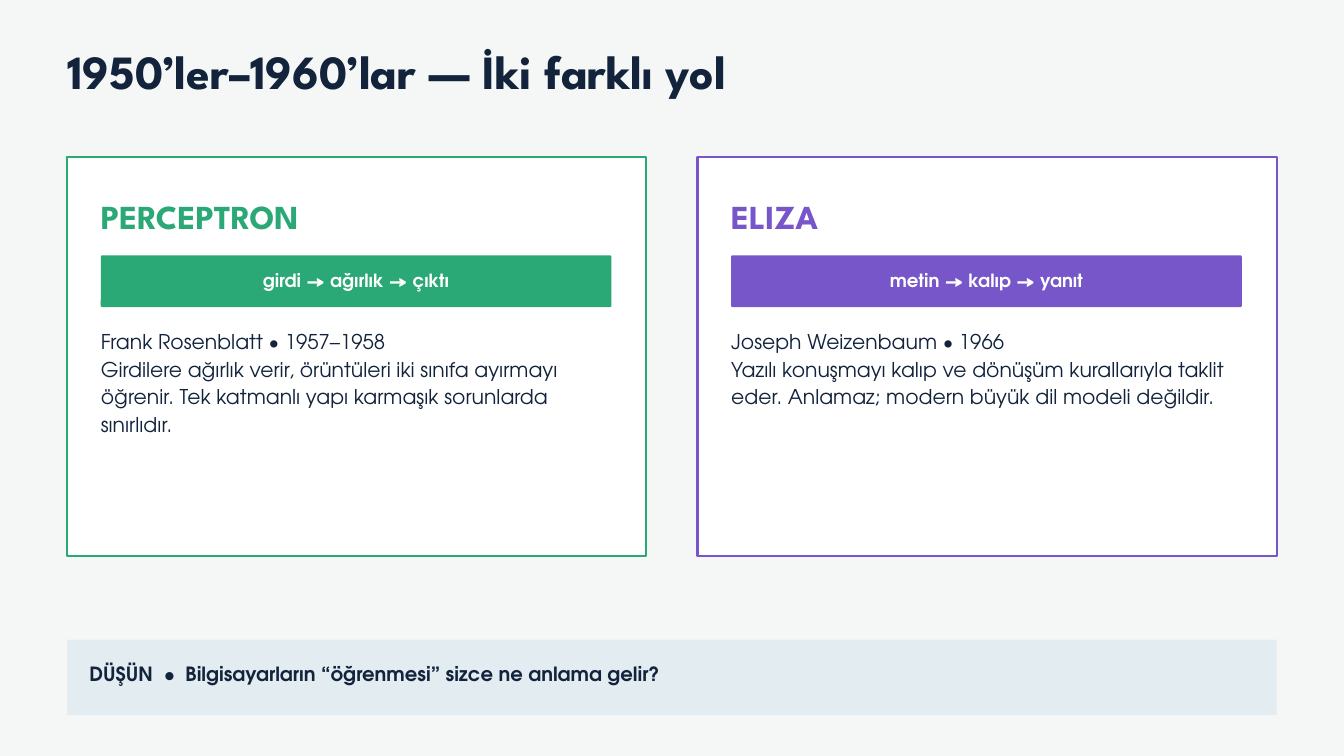
from dataclasses import dataclass

from lxml.etree import SubElement
from pptx import Presentation
from pptx.dml.color import RGBColor
from pptx.enum.shapes import MSO_SHAPE as Preset
from pptx.enum.text import MSO_ANCHOR as Anchor, PP_ALIGN as Align
from pptx.oxml.ns import qn
from pptx.util import Inches, Pt


@dataclass(frozen=True)
class Theme:
    background: str = "F4F7F5"
    ink: str = "12233B"
    paper: str = "FFFFFF"
    green: str = "2AA876"
    purple: str = "7756C9"
    mist: str = "E3EDF1"
    display: str = "League Spartan"
    body: str = "TeX Gyre Adventor"
    title_size: float = 51
    heading_size: float = 36
    body_size: float = 21.8
    flow_size: float = 19.5
    prompt_size: float = 21
    border: float = 2.25


THEME = Theme()
CARD_WIDTH = 8.62
INNER_WIDTH = 7.6

CARDS = [
    {
        "left": 1,
        "color": THEME.green,
        "heading": "PERCEPTRON",
        "flow": "girdi → ağırlık → çıktı",
        "body": [
            "Frank Rosenblatt • 1957–1958",
            "Girdilere ağırlık verir, örüntüleri iki sınıfa ayırmayı öğrenir. "
            "Tek katmanlı yapı karmaşık sorunlarda sınırlıdır.",
        ],
    },
    {
        "left": 10.38,
        "color": THEME.purple,
        "heading": "ELIZA",
        "flow": "metin → kalıp → yanıt",
        "body": [
            "Joseph Weizenbaum • 1966",
            "Yazılı konuşmayı kalıp ve dönüşüm kurallarıyla taklit eder. "
            "Anlamaz; modern büyük dil modeli değildir.",
        ],
    },
]


def rgb(color):
    return RGBColor.from_string(color)


def set_tabs(paragraph, stops):
    tab_list = SubElement(paragraph._p.get_or_add_pPr(), qn("a:tabLst"))
    for stop in stops:
        SubElement(tab_list, qn("a:tab"), pos=str(Inches(stop)), algn="l")


def add_panel(slide, box, fill, line=None, preset=Preset.RECTANGLE):
    shape = slide.shapes.add_shape(preset, *map(Inches, box))
    shape.shadow.inherit = False
    shape.fill.solid()
    shape.fill.fore_color.rgb = rgb(fill)
    if line:
        shape.line.color.rgb = rgb(line)
        shape.line.width = Pt(THEME.border)
    else:
        shape.line.fill.background()
    return shape


def add_text(slide, box, lines, size, spacing, font=THEME.body, color=THEME.ink,
             bold=False, align=Align.LEFT, anchor=Anchor.TOP, inset=0, tabs=()):
    frame = slide.shapes.add_textbox(*map(Inches, box)).text_frame
    frame_format = {"word_wrap": True, "vertical_anchor": anchor}
    for side in ("left", "top", "right", "bottom"):
        frame_format[f"margin_{side}"] = Inches(inset)
    for name, value in frame_format.items():
        setattr(frame, name, value)

    font_format = {"name": font, "size": Pt(size), "bold": bold}
    for index, line in enumerate(lines):
        paragraph = frame.add_paragraph() if index else frame.paragraphs[0]
        if tabs:
            set_tabs(paragraph, tabs)
        paragraph.alignment = align
        paragraph.line_spacing = Pt(spacing)
        run = paragraph.add_run()
        run.text = line
        for name, value in font_format.items():
            setattr(run.font, name, value)
        run.font.color.rgb = rgb(color)


def add_card(slide, left, color, heading, flow, body):
    inner = left + 0.5
    add_panel(slide, (left, 2.34, CARD_WIDTH, 5.94), THEME.paper, line=color)
    add_text(slide, (inner, 2.81, INNER_WIDTH, 0.65), [heading],
             THEME.heading_size, 50.4, font=THEME.display, color=color, bold=True)
    add_text(slide, (inner, 4.86, INNER_WIDTH, 1.61), body, THEME.body_size, 29.4)

    # Flow strip with slightly rounded corners
    strip = (inner, 3.8, INNER_WIDTH, 0.77)
    add_panel(slide, strip, color, preset=Preset.ROUNDED_RECTANGLE).adjustments[0] = 0.03
    add_text(slide, strip, [flow], THEME.flow_size, 21.4, color=THEME.paper,
             bold=True, align=Align.CENTER, anchor=Anchor.MIDDLE, inset=0.06)


def add_prompt(slide):
    add_panel(slide, (1, 9.52, 18, 1.12), THEME.mist)
    add_text(slide, (1.33, 9.79, 17.33, 0.38),
             ["DÜŞÜN\t•\tBilgisayarların “öğrenmesi” sizce ne anlama gelir?"],
             THEME.prompt_size, 29.4, bold=True, tabs=(1.11, 1.43))


def main():
    presentation = Presentation()
    presentation.slide_width = Inches(20)
    presentation.slide_height = Inches(11.25)
    slide = presentation.slides.add_slide(presentation.slide_layouts[6])
    slide.background.fill.solid()
    slide.background.fill.fore_color.rgb = rgb(THEME.background)

    # Title
    add_text(slide, (1, 0.75, 15.62, 0.76), ["1950’ler–1960’lar — İki farklı yol"],
             THEME.title_size, 52, font=THEME.display, bold=True)

    # Two approaches side by side
    for card in CARDS:
        add_card(slide, **card)

    # Question for the audience
    add_prompt(slide)

    presentation.save("out.pptx")


if __name__ == "__main__":
    main()
